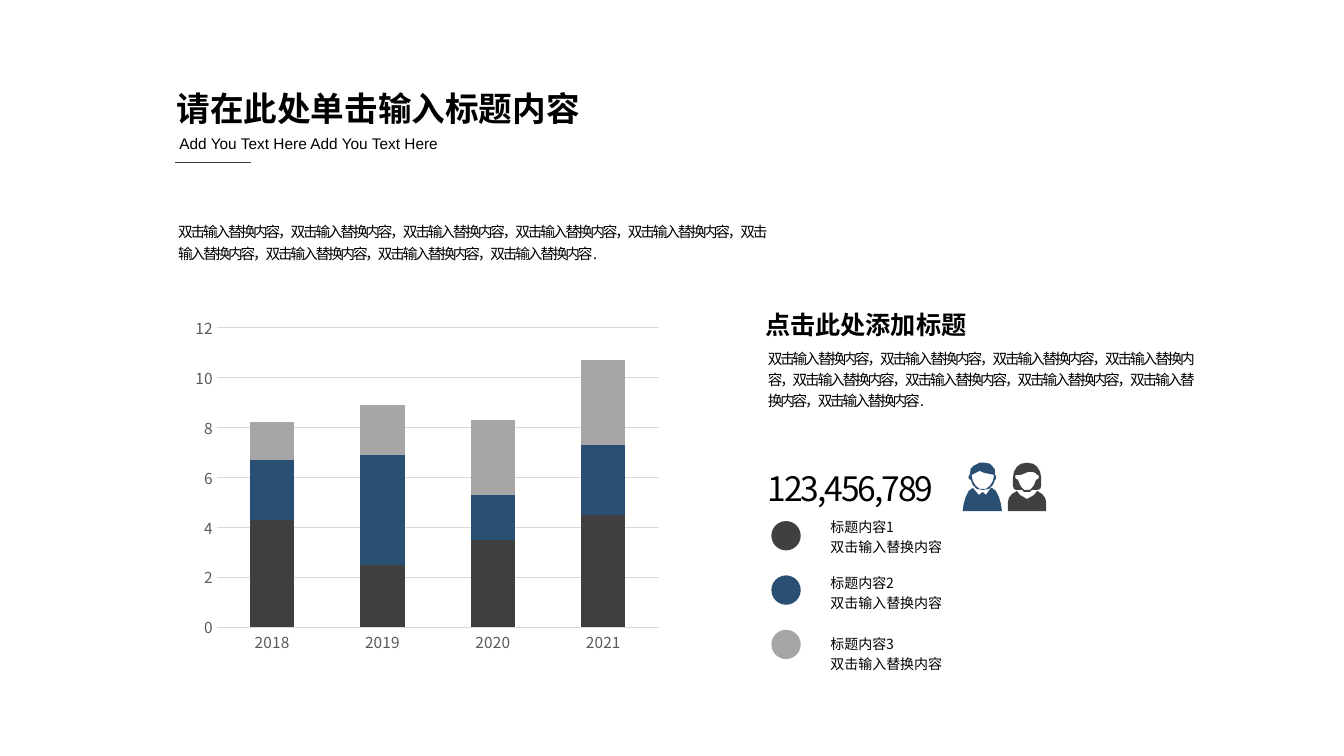
import pptx
import pptx.chart.data
import pptx.dml.color
import pptx.enum.chart
import pptx.enum.shapes
import pptx.enum.text
import pptx.oxml
import pptx.oxml.ns
import pptx.oxml.xmlchemy
import pptx.util

Cm, Pt = pptx.util.Cm, pptx.util.Pt
RGBColor = pptx.dml.color.RGBColor
Align = pptx.enum.text.PP_ALIGN

BLACK = RGBColor(0x00, 0x00, 0x00)
CHARCOAL = RGBColor(0x40, 0x40, 0x40)
COLUMN_DARK = RGBColor(0x3F, 0x3F, 0x3F)
NAVY = RGBColor(0x29, 0x4F, 0x73)
SILVER = RGBColor(0xA6, 0xA6, 0xA6)
AXIS_TEXT = RGBColor(0x59, 0x59, 0x59)
GRID = RGBColor(0xD9, 0xD9, 0xD9)
CJK = "Noto Sans CJK SC"

PHRASE = "双击输入替换内容"
BODY = "，".join([PHRASE] * 9) + "."
TITLE = "请在此处单击输入标题内容"

# Boxes are left, top, width, height in centimetres
TITLE_BOX = (4.27, 2.11, 11.68, 1.22)
TITLE_FORMAT = dict(size=Pt(24), bold=True)
BODY_FORMAT = dict(size=Pt(10.5))
TIGHT = -150
NARROW = (0.18, 0.1)
USUAL = (0.25, 0.13)

# box, text, font format, extra: line spacing, letter spacing, insets, wrap
TEXTS = [
    ((4.27, 3.12, 7.77, 0.86), "Add You Text Here Add You Text Here",
     dict(size=Pt(11), name="Arial"), dict(spacing=1.3)),
    ((4.24, 5.41, 15.6, 1.32), BODY, BODY_FORMAT, dict(spacing=1.2, tracking=TIGHT)),
    ((19.1, 8.59, 11.38, 1.85), BODY, BODY_FORMAT, dict(spacing=1.2, tracking=TIGHT)),
    ((19.1, 7.7, 5.51, 0.97), "点击此处添加标题", dict(size=Pt(18), bold=True),
     dict(insets=NARROW, wrap=False)),
    ((19.1, 11.66, 5.21, 1.27), "123,456,789", dict(size=Pt(24)),
     dict(tracking=TIGHT, wrap=False)),
]

# label, dot colour, top of label
LEGEND = [("标题内容1", CHARCOAL, 12.85), ("标题内容2", NAVY, 14.27), ("标题内容3", SILVER, 15.8)]
DOT_LEFT, DOT_TOP, DOT_STEP, DOT_SIZE = 19.44, 13.13, 1.37, 0.74

CHART_BOX = (4.42, 7.98, 12.19, 9.14)
PLOT = dict(x=0.086, y=0.015, w=0.914, h=0.839)
YEARS = ["2018", "2019", "2020", "2021"]
SERIES = [
    ("Series 1", (4.3, 2.5, 3.5, 4.5), COLUMN_DARK),
    ("Series 2", (2.4, 4.4, 1.8, 2.8), NAVY),
    ("Series 3", (1.5, 2, 3, 3.4), SILVER),
]

# Outlines in hundredths of an inch from each icon's top left corner
ICON_UNIT = Cm(2.54) / 100
MAN = [
    [(29, 25), (33, 28), (36, 34), (38, 41), (39, 48), (0, 48), (1, 41), (3, 34), (6, 28),
     (10, 25), (11, 26), (16, 32), (20, 29), (23, 32), (28, 25)],
    [(17, 8), (9, 12), (9, 13), (10, 18), (13, 23), (17, 26), (20, 26), (23, 26),
     (27, 23), (30, 18), (31, 13), (31, 12), (21, 10)],
    [(22, 0), (27, 1), (30, 4), (32, 7), (32, 12), (33, 13), (33, 16), (32, 17), (30, 22),
     (26, 26), (20, 27), (14, 26), (10, 22), (8, 17), (6, 16), (6, 13), (7, 12), (8, 6),
     (11, 3), (15, 1), (17, 0)],
]
WOMAN = [
    [(5, 23), (5, 15), (6, 9), (9, 4), (13, 1), (19, 0), (25, 1), (29, 4), (32, 9),
     (33, 15), (33, 23), (32, 26), (29, 27), (24, 27), (22, 29), (19, 29), (16, 29),
     (14, 27), (8, 27), (6, 26)],
    [(19, 27), (16, 27), (14, 25), (12, 22), (10, 17), (8, 16), (7, 14), (8, 12), (9, 12),
     (13, 12), (18, 10), (20, 9), (24, 9), (27, 10), (29, 12), (30, 12), (31, 14),
     (30, 16), (28, 17), (26, 22), (24, 25), (22, 27)],
    [(9, 28), (12, 32), (19, 36), (26, 32), (29, 28), (34, 31), (37, 35), (38, 39),
     (38, 48), (0, 48), (0, 39), (1, 35), (4, 31)],
]
ICONS = [(WOMAN, 25.4, CHARCOAL), (MAN, 24.26, NAVY)]
ICON_TOP = 11.66


def lengths(values):
    return [Cm(value) for value in values]


def set_all(target, values):
    for name, value in values.items():
        setattr(target, name, value)


def write(shape, lines, font, spacing=1.0, tracking=None, insets=USUAL, wrap=True,
          align=Align.LEFT):
    """Fill a text shape, one paragraph a line, all in the same format."""
    frame = shape.text_frame
    side, edge = lengths(insets)
    set_all(frame, dict(
        margin_left=side, margin_right=side, margin_top=edge, margin_bottom=edge,
        word_wrap=wrap, vertical_anchor=pptx.enum.text.MSO_ANCHOR.TOP,
        auto_size=pptx.enum.text.MSO_AUTO_SIZE.SHAPE_TO_FIT_TEXT))
    font = {"name": CJK, **font}
    for index, line in enumerate(lines):
        para = frame.add_paragraph() if index else frame.paragraphs[0]
        set_all(para, dict(alignment=align, line_spacing=spacing))
        span = para.add_run()
        span.text = line
        set_all(span.font, font)
        span.font.color.rgb = BLACK
        properties = span._r.get_or_add_rPr()
        if tracking:
            properties.set("spc", str(tracking))
        east_asian = pptx.oxml.xmlchemy.OxmlElement("a:ea")
        east_asian.set("typeface", font["name"])
        properties.append(east_asian)


def paint(shape, color):
    shape.shadow.inherit = False
    shape.fill.solid()
    shape.fill.fore_color.rgb = color
    shape.line.fill.background()


def add_columns(page):
    data = pptx.chart.data.CategoryChartData()
    data.categories = YEARS
    for name, values, _ in SERIES:
        data.add_series(name, values)
    chart = page.shapes.add_chart(
        pptx.enum.chart.XL_CHART_TYPE.COLUMN_STACKED, *lengths(CHART_BOX), data).chart
    set_all(chart, dict(has_legend=False, has_title=False))
    set_all(chart.font, dict(name="Calibri", size=Pt(10)))
    chart.font.color.rgb = BLACK
    plot = chart.plots[0]
    set_all(plot, dict(gap_width=150, overlap=100, vary_by_categories=False))
    for series, (_, _, color) in zip(plot.series, SERIES):
        series.format.fill.solid()
        series.format.fill.fore_color.rgb = color

    for axis in (chart.category_axis, chart.value_axis):
        axis.major_tick_mark = axis.minor_tick_mark = pptx.enum.chart.XL_TICK_MARK.NONE
        set_all(axis.tick_labels.font, dict(name=CJK, size=Pt(11)))
        axis.tick_labels.font.color.rgb = AXIS_TEXT
    value_axis = chart.value_axis
    set_all(value_axis, dict(minimum_scale=0, maximum_scale=12, major_unit=2,
                             has_major_gridlines=True))
    value_axis.format.line.fill.background()
    for line in (chart.category_axis.format.line, value_axis.major_gridlines.format.line):
        line.color.rgb = GRID
        line.width = Pt(0.75)

    settings = [("layoutTarget", "inner"), ("xMode", "edge"), ("yMode", "edge"), *PLOT.items()]
    content = "".join(f'<c:{name} val="{value}"/>' for name, value in settings)
    layout = pptx.oxml.parse_xml(
        f'<c:layout {pptx.oxml.ns.nsdecls("c")}><c:manualLayout>{content}'
        '</c:manualLayout></c:layout>')
    area = chart._chartSpace.chart.plotArea
    for previous in area.findall(pptx.oxml.ns.qn("c:layout")):
        area.remove(previous)
    area.insert(0, layout)


def add_icon(page, outlines, left, color):
    builder = page.shapes.build_freeform(*outlines[0][0], scale=ICON_UNIT)
    for index, outline in enumerate(outlines):
        if index:
            builder.move_to(*outline[0])
        builder.add_line_segments(outline[1:], close=True)
    paint(builder.convert_to_shape(Cm(left), Cm(ICON_TOP)), color)


def main():
    deck = pptx.Presentation()
    set_all(deck, dict(slide_width=Cm(33.87), slide_height=Cm(19.05)))
    page = deck.slides.add_slide(deck.slide_layouts[5])
    title = page.shapes.title
    set_all(title, dict(zip(("left", "top", "width", "height"), lengths(TITLE_BOX))))
    write(title, [TITLE], TITLE_FORMAT, insets=NARROW)

    rule = page.shapes.add_connector(
        pptx.enum.shapes.MSO_CONNECTOR.STRAIGHT, *lengths((4.42, 4.09, 6.32, 4.09)))
    rule.line.color.rgb = CHARCOAL
    rule.line.width = Pt(0.75)
    rule._element.spPr.append(pptx.oxml.xmlchemy.OxmlElement("a:effectLst"))

    for box, text, font, extra in TEXTS:
        write(page.shapes.add_textbox(*lengths(box)), [text], font, **extra)
    add_columns(page)
    for index, (label, color, top) in enumerate(LEGEND):
        dot_box = (DOT_LEFT, DOT_TOP + index * DOT_STEP, DOT_SIZE, DOT_SIZE)
        paint(page.shapes.add_shape(pptx.enum.shapes.MSO_SHAPE.OVAL, *lengths(dot_box)), color)
        label_box = page.shapes.add_textbox(*lengths((20.68, top, 11.38, 1.27)))
        write(label_box, [label, PHRASE], dict(size=Pt(10)), spacing=1.2, align=Align.JUSTIFY)
    for icon in ICONS:
        add_icon(page, *icon)
    deck.save("out.pptx")


if __name__ == "__main__":
    main()
